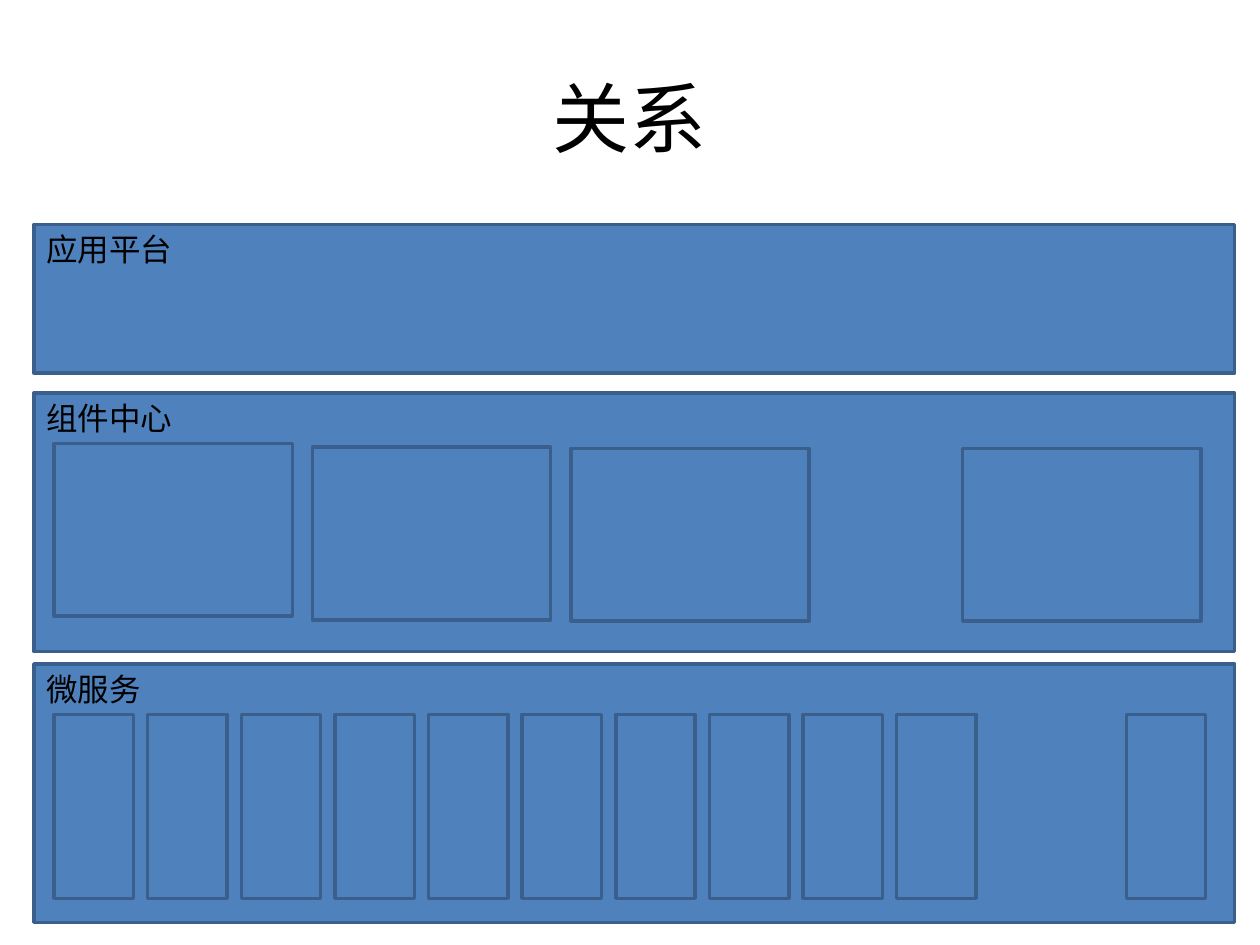
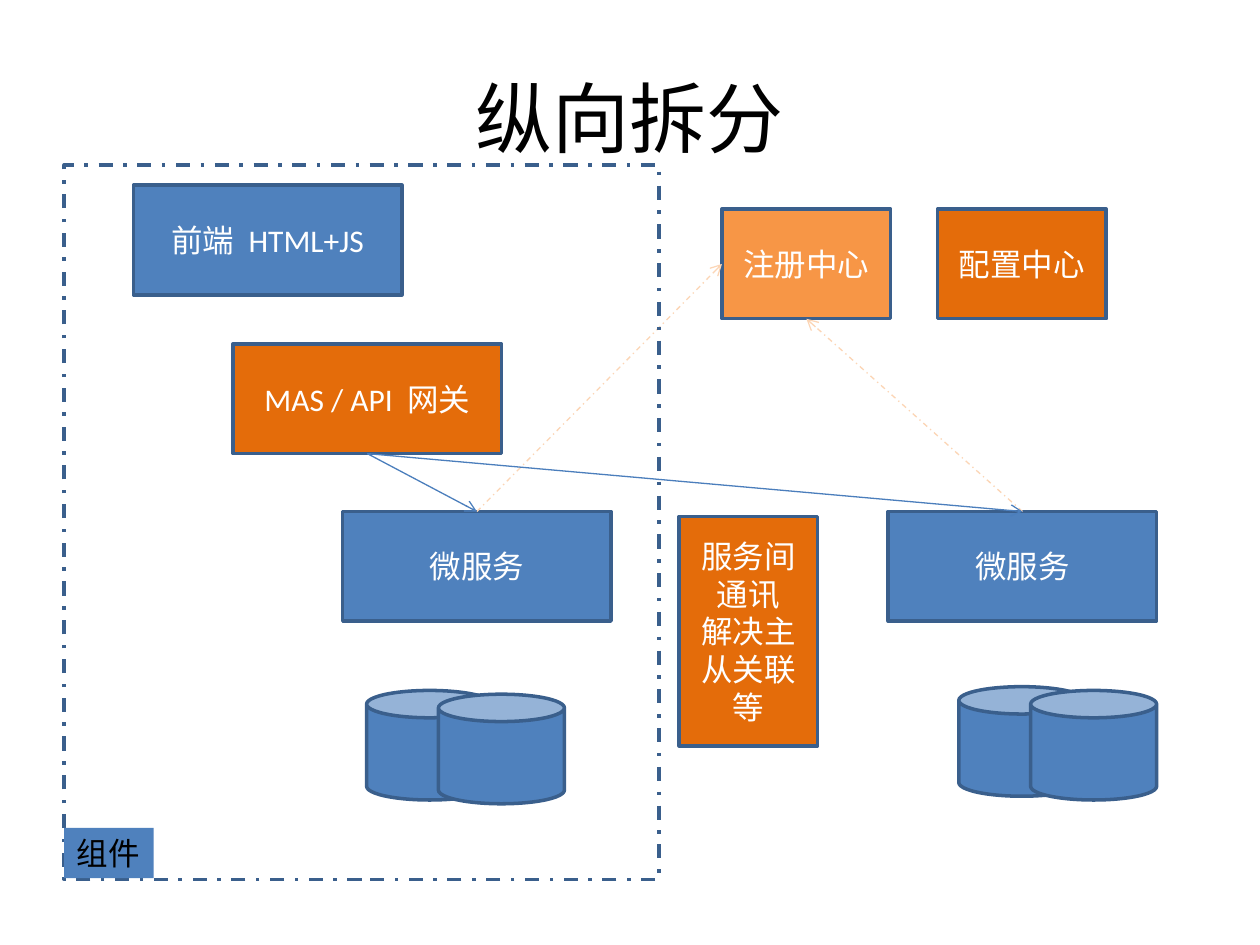
"""Build two slides on platform layers and the vertical split of services."""
from dataclasses import dataclass

import pptx
import pptx.dml.color
import pptx.enum.dml
import pptx.enum.shapes
import pptx.enum.text
import pptx.oxml
import pptx.oxml.ns
import pptx.util

Inches = pptx.util.Inches
SHAPE = pptx.enum.shapes.MSO_SHAPE
ALIGN = pptx.enum.text.PP_ALIGN
ANCHOR = pptx.enum.text.MSO_ANCHOR
DASH_DOT = pptx.enum.dml.MSO_LINE.DASH_DOT
TOP, LEFT, BOTTOM = 0, 1, 2


@dataclass(frozen=True)
class Theme:
    font: str = "Calibri"
    title_size: int = 44
    text_size: int = 18
    border_width: float = 2
    arrow_width: float = 0.75
    black: str = "000000"
    white: str = "FFFFFF"
    blue: str = "4F81BD"
    border: str = "3A5F8C"
    orange: str = "E46C0A"
    light_orange: str = "F79646"
    call: str = "4B7EBC"
    register: str = "FCD5B5"


def rgb(color):
    return pptx.dml.color.RGBColor.from_string(color)


def write(tf, text, *, font, size, color, align=ALIGN.LEFT, anchor=ANCHOR.TOP, wrap=True):
    tf.word_wrap = wrap
    tf.vertical_anchor = anchor
    for i, line in enumerate(text.split("\n")):
        p = tf.add_paragraph() if i else tf.paragraphs[0]
        p.alignment = align
        r = p.add_run()
        r.text = line
        r.font.name = font
        r.font.size = pptx.util.Pt(size)
        r.font.color.rgb = rgb(color)


class Deck:
    def __init__(self, theme):
        self.theme = theme
        self.prs = pptx.Presentation()
        self.prs.slide_width, self.prs.slide_height = Inches(10), Inches(7.5)
        self.s = None

    def slide(self, title):
        t = self.theme
        self.s = self.prs.slides.add_slide(self.prs.slide_layouts[5])
        sp = self.s.shapes.title
        sp.left, sp.top, sp.width, sp.height = map(Inches, (0.5, 0.3, 9, 1.25))
        write(sp.text_frame, title, font=t.font, size=t.title_size, color=t.black,
              align=ALIGN.CENTER, anchor=ANCHOR.MIDDLE)

    def shape(self, x, y, w, h, text="", fill=None, kind=SHAPE.RECTANGLE, dash=None):
        t = self.theme
        sp = self.s.shapes.add_shape(kind, *map(Inches, (x, y, w, h)))
        sp.shadow.inherit = False
        if fill:
            sp.fill.solid()
            sp.fill.fore_color.rgb = rgb(fill)
        else:
            sp.fill.background()
        sp.line.color.rgb = rgb(t.border)
        sp.line.width = pptx.util.Pt(t.border_width)
        if dash:
            sp.line.dash_style = dash
        if text:
            write(sp.text_frame, text, font=t.font, size=t.text_size, color=t.white,
                  align=ALIGN.CENTER, anchor=ANCHOR.MIDDLE)
        return sp

    def label(self, x, y, w, text, fill=None):
        t = self.theme
        sp = self.s.shapes.add_textbox(*map(Inches, (x, y, w, 0.4)))
        if fill:
            sp.fill.solid()
            sp.fill.fore_color.rgb = rgb(fill)
        write(sp.text_frame, text, font=t.font, size=t.text_size, color=t.black, wrap=False)

    def layer(self, y, h, w, text):
        self.shape(0.27, y, 9.53, h, fill=self.theme.blue)
        self.label(0.27, y, w, text)

    def databases(self, x, y):
        for dx, dy in ((0, 0), (0.57, 0.03)):
            self.shape(x + dx, y + dy, 1, 0.87, fill=self.theme.blue, kind=SHAPE.CAN)

    def arrow(self, start, start_site, end, end_site, color, dash=None):
        c = self.s.shapes.add_connector(pptx.enum.shapes.MSO_CONNECTOR.STRAIGHT, 0, 0, 0, 0)
        c.begin_connect(start, start_site)
        c.end_connect(end, end_site)
        c.line.color.rgb = rgb(color)
        c.line.width = pptx.util.Pt(self.theme.arrow_width)
        if dash:
            c.line.dash_style = dash
        tail = pptx.oxml.parse_xml(f'<a:tailEnd {pptx.oxml.ns.nsdecls("a")} type="arrow"/>')
        c.line._get_or_add_ln().append(tail)
        effects = pptx.oxml.parse_xml(f'<a:effectLst {pptx.oxml.ns.nsdecls("a")}/>')
        c._element.spPr.append(effects)


def relations(deck):
    blue = deck.theme.blue
    deck.slide("关系")
    deck.layer(3.12, 2.05, 1.21, "组件中心")
    for x, y in ((0.43, 3.52), (2.48, 3.55), (4.53, 3.56), (7.64, 3.56)):
        deck.shape(x, y, 1.89, 1.37, fill=blue)
    deck.layer(5.27, 2.05, 0.96, "微服务")
    for x in [0.43 + 0.743 * i for i in range(10)] + [8.94]:
        deck.shape(x, 5.67, 0.63, 1.46, fill=blue)
    deck.layer(1.78, 1.18, 1.21, "应用平台")


def vertical_split(deck):
    t = deck.theme
    deck.slide("纵向拆分")
    deck.shape(1.06, 1.47, 2.13, 0.87, "前端  HTML+JS", t.blue)
    gateway = deck.shape(1.85, 2.73, 2.13, 0.87, "MAS / API  网关", t.orange)
    inner, outer = [deck.shape(x, 4.06, 2.13, 0.87, "微服务", t.blue) for x in (2.72, 7.05)]
    deck.shape(5.39, 4.1, 1.1, 1.82, "服务间通讯\n解决主从关联等", t.orange)
    deck.databases(2.91, 5.48)
    deck.databases(7.61, 5.45)
    deck.shape(7.44, 1.66, 1.34, 0.87, "配置中心", t.orange)
    registry = deck.shape(5.73, 1.66, 1.34, 0.87, "注册中心", t.light_orange)
    for service, site in ((inner, LEFT), (outer, BOTTOM)):
        deck.arrow(service, TOP, registry, site, t.register, DASH_DOT)
    for service in (inner, outer):
        deck.arrow(gateway, BOTTOM, service, TOP, t.call)
    deck.shape(0.51, 1.31, 4.72, 5.67, dash=DASH_DOT)
    deck.label(0.51, 6.57, 0.71, "组件", t.blue)


def main():
    deck = Deck(Theme())
    relations(deck)
    vertical_split(deck)
    deck.prs.save("out.pptx")


if __name__ == "__main__":
    main()
